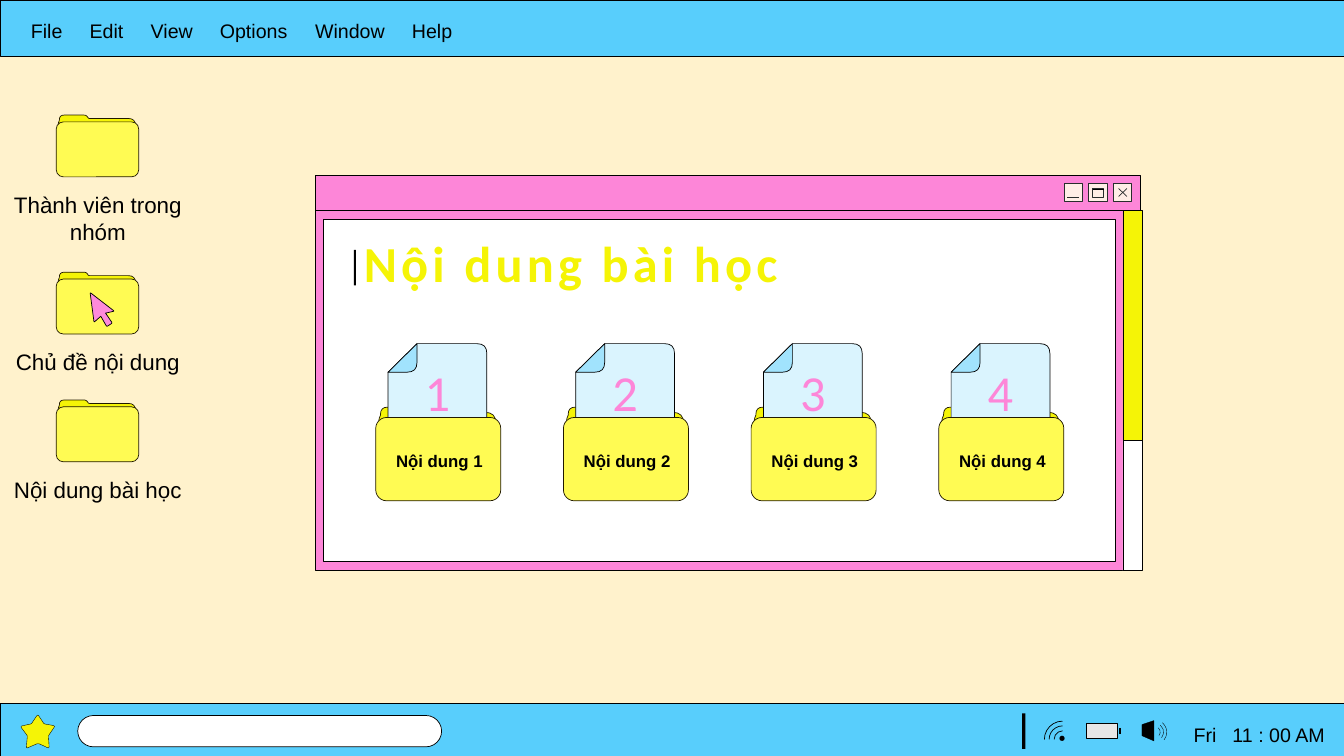
import math

from lxml import etree
from pptx import Presentation
from pptx.dml.color import RGBColor
from pptx.enum.shapes import MSO_CONNECTOR, MSO_SHAPE
from pptx.enum.text import MSO_AUTO_SIZE, PP_ALIGN
from pptx.oxml.ns import qn
from pptx.util import Cm, Pt

RECT, ROUND = MSO_SHAPE.RECTANGLE, MSO_SHAPE.ROUNDED_RECTANGLE
ARC, OVAL = MSO_SHAPE.ARC, MSO_SHAPE.OVAL
STRAIGHT = MSO_CONNECTOR.STRAIGHT
LEFT, CENTER = PP_ALIGN.LEFT, PP_ALIGN.CENTER
FIT_TEXT = MSO_AUTO_SIZE.SHAPE_TO_FIT_TEXT
color = RGBColor.from_string

BLACK, WHITE, CREAM, BLUE = "000000", "FFFFFF", "FFF2CC", "58CEFC"
PINK, YELLOW, LEMON = "FD86D8", "F5F406", "FFFB53"
BROWN, GRAPHITE, BLUSH = "211900", "292D2D", "FFEEE6"

deck = Presentation()
deck.slide_width, deck.slide_height = Cm(33.87), Cm(19.05)
slide = deck.slides.add_slide(deck.slide_layouts[6])
slide.background.fill.solid()
slide.background.fill.fore_color.rgb = color(CREAM)
shapes = slide.shapes


def paint(shape, fill, line, weight=0.5):
    """Apply fill and line colours, None meaning no fill or no line."""
    shape.shadow.inherit = False
    if fill:
        shape.fill.solid()
        shape.fill.fore_color.rgb = color(fill)
    else:
        shape.fill.background()
    if line:
        shape.line.color.rgb = color(line)
        shape.line.width = Pt(weight)
    else:
        shape.line.fill.background()


def add_outline(corners, left, top, fill, line, weight=0.5, zoom=1):
    """Draw a closed polygon from (x, y, corner radius) triples in cm."""
    points = []
    for i, (x, y, radius) in enumerate(corners):
        ends = []
        for nx, ny, _ in (corners[i - 1], corners[(i + 1) % len(corners)]):
            share = radius / math.dist((x, y), (nx, ny))
            ends.append((x + (nx - x) * share, y + (ny - y) * share))
        (ax, ay), (bx, by) = ends
        for t in (0, 0.25, 0.5, 0.75, 1) if radius else (0,):
            a, c, b = (1 - t) ** 2, 2 * t * (1 - t), t * t
            points.append((1000 * (a * ax + c * x + b * bx), 1000 * (a * ay + c * y + b * by)))
    builder = shapes.build_freeform(*points[0], scale=Cm(0.001) * zoom)
    builder.add_line_segments(points[1:], close=True)
    paint(builder.convert_to_shape(Cm(left), Cm(top)), fill, line, weight)


# Window, menu bar and task bar: kind, left, top, width, height, fill, line
panels = [
    (RECT, 7.95, 4.42, 20.8, 9.96, PINK, BLACK),
    (RECT, 8.15, 5.54, 19.96, 8.61, WHITE, BLACK),
    (RECT, 28.3, 5.31, 0.48, 5.79, YELLOW, BLACK),
    (RECT, 28.3, 11.1, 0.48, 3.28, WHITE, BLACK),
    (RECT, 0, 0, 33.87, 1.42, BLUE, BLACK),
    (RECT, 0, 17.73, 33.87, 1.42, BLUE, BLACK),
    (ROUND, 1.96, 18.03, 9.17, 0.79, WHITE, BLACK),
    (OVAL, 26.7, 18.54, 0.13, 0.13, BLACK, None),
    (RECT, 27.38, 18.24, 0.79, 0.38, "E7E6E6", BLACK),
    (RECT, 25.76, 17.98, 0.08, 0.89, BLACK, None),
    (RECT, 8.92, 6.3, 0.05, 0.89, BLACK, None),
]
panels += [(RECT, 26.82 + 0.62 * i, 4.62, 0.46, 0.46, BLUSH, GRAPHITE) for i in range(3)]
panels.append((RECT, 27.54, 4.75, 0.27, 0.23, None, GRAPHITE))
for kind, left, top, width, height, fill, line in panels:
    panel = shapes.add_shape(kind, Cm(left), Cm(top), Cm(width), Cm(height))
    paint(panel, fill, line)
    if kind == ROUND:
        panel.adjustments[0] = 0.5

# Wireless and sound waves: centre, rotation, weight, diameters
for x, y, rotation, weight, diameters in [
    (26.78, 18.63, 269.6, 0.5, (0.43, 0.68, 0.92)),
    (29.1, 18.45, 39.5, 0.25, (0.28, 0.45, 0.61)),
]:
    for size in diameters:
        wave = shapes.add_shape(ARC, Cm(x - size / 2), Cm(y - size / 2), Cm(size), Cm(size))
        wave.rotation = rotation
        paint(wave, None, BLACK, weight)

# Window edges, button marks and battery tip
for x1, y1, x2, y2, line, weight in [
    (7.95, 5.31, 28.75, 5.31, BLACK, 0.5),
    (28.3, 14.38, 28.3, 5.31, BLACK, 0.5),
    (26.9, 4.98, 27.19, 4.98, GRAPHITE, 0.5),
    (27.54, 4.78, 27.81, 4.78, BLACK, 1),
    (28.19, 4.75, 28.4, 4.95, GRAPHITE, 0.5),
    (28.4, 4.75, 28.19, 4.95, GRAPHITE, 0.5),
    (28.22, 18.34, 28.22, 18.49, BLACK, 1.5),
]:
    stroke = shapes.add_connector(STRAIGHT, Cm(x1), Cm(y1), Cm(x2), Cm(y2))
    stroke.line.color.rgb = color(line)
    stroke.line.width = Pt(weight)
    etree.SubElement(stroke._element.spPr, qn("a:effectLst"))

# Texts: text, left, top, width, height, size, colour, font, bold, align
texts = [
    ("File\tEdit\tView\tOptions\tWindow\tHelp", 0.53, 0.36, 12, 0.85, 14, BLACK, "Arial", False, LEFT),
    ("Fri\t11 : 00 AM", 29.83, 18.08, 4, 0.85, 14, BLACK, "Arial", False, LEFT),
    ("Nội dung bài học", 8.92, 5.72, 16.64, 1.8, 36, YELLOW, "Calibri", True, LEFT),
]
tab_stops = {"File": (1.48, 3.02, 4.76, 7.16, 9.6), "Fri": (0.98,)}

folder_back = [(0.04, 0, 0.18), (1.08, 0, 0.1), (1.15, 0.13, 0.04), (2.95, 0.13, 0.28),
               (2.95, 2.21, 0.28), (0, 2.21, 0.28), (0, 0.3, 0.05), (0.04, 0.2, 0)]
sheet = [(0, 0.72, 0), (0, 3.36, 0.25), (2.49, 3.36, 0.25), (2.49, 0, 0.25), (0.73, 0, 0)]
sheet_fold = [(0, 0.72, 0), (0.73, 0.72, 0.25), (0.73, 0, 0)]

# Folders: label, left, top, zoom, number on the sheet
folders = [
    ("Thành viên trong nhóm", 1.47, 2.9, 0.66, None),
    ("Chủ đề nội dung", 1.47, 6.86, 0.66, None),
    ("Nội dung bài học", 1.47, 10.08, 0.66, None),
]
folders += [(f"Nội dung {n}", 9.55 + 4.73 * (n - 1), 10.26, 1, n) for n in range(1, 5)]
for label, left, top, zoom, number in folders:
    add_outline(folder_back, left, top, YELLOW, BROWN, zoom=zoom)
    if number:
        add_outline(sheet, left + 0.23, top - 1.6, "DAF4FE", BLACK)
        add_outline(sheet_fold, left + 0.23, top - 1.6, "A1E3FD", BLACK)
        texts.append((str(number), left + 0.23, 8.97, 2.49, 1.8, 36, PINK, "Calibri", False, CENTER))
        texts.append((label, left, 11.23, 3.05, 0.76, 12, BLACK, "Arial", True, CENTER))
    else:
        texts.append((label, 0, top + 1.8, 4.93, 0.94, 16, BLACK, "Arial", False, CENTER))
    front = shapes.add_shape(ROUND, Cm(left - 0.08 * zoom), Cm(top + 0.26 * zoom),
                             Cm(3.15 * zoom), Cm(2.1 * zoom))
    front.adjustments[0] = 0.13
    paint(front, LEMON, BROWN)

cursor = [(0, 0, 0.03), (0.1, 0.75, 0.03), (0.27, 0.6, 0), (0.42, 0.86, 0.03),
          (0.56, 0.77, 0.03), (0.39, 0.52, 0), (0.61, 0.47, 0.03)]
star = [(0.88, 0.29, 0.05), (0.6, 0.24, 0.03), (0.44, 0, 0.05), (0.28, 0.24, 0.03),
        (0, 0.3, 0.05), (0.18, 0.54, 0.03), (0.15, 0.86, 0.05), (0.45, 0.73, 0.05),
        (0.73, 0.86, 0.05), (0.71, 0.54, 0.03)]
speaker = [(0, 0.1, 0), (0, 0.38, 0), (0.3, 0.51, 0), (0.3, 0, 0)]
add_outline(cursor, 2.27, 7.37, "FE8ADA", BLACK)
add_outline(star, 0.51, 18, YELLOW, BLACK, 0.25)
add_outline(speaker, 28.78, 18.16, BLACK, BLACK, 0.25)

for text, left, top, width, height, size, ink, font, bold, align in texts:
    frame = shapes.add_textbox(Cm(left), Cm(top), Cm(width), Cm(height)).text_frame
    frame.word_wrap = True
    frame.auto_size = FIT_TEXT
    paragraph = frame.paragraphs[0]
    paragraph.text = text
    paragraph.alignment = align
    paragraph.font.size = Pt(size)
    paragraph.font.name = font
    paragraph.font.bold = bold
    paragraph.font.color.rgb = color(ink)
    properties = paragraph._p.get_or_add_pPr()
    if text.startswith("Nội") and size == 36:
        properties.find(qn("a:defRPr")).set("spc", "300")
    stops = tab_stops.get(text.split("\t")[0])
    if stops:
        tab_list = etree.Element(qn("a:tabLst"))
        for stop in stops:
            etree.SubElement(tab_list, qn("a:tab"), pos=str(Cm(stop)), algn="l")
        properties.insert(0, tab_list)

deck.save("out.pptx")
